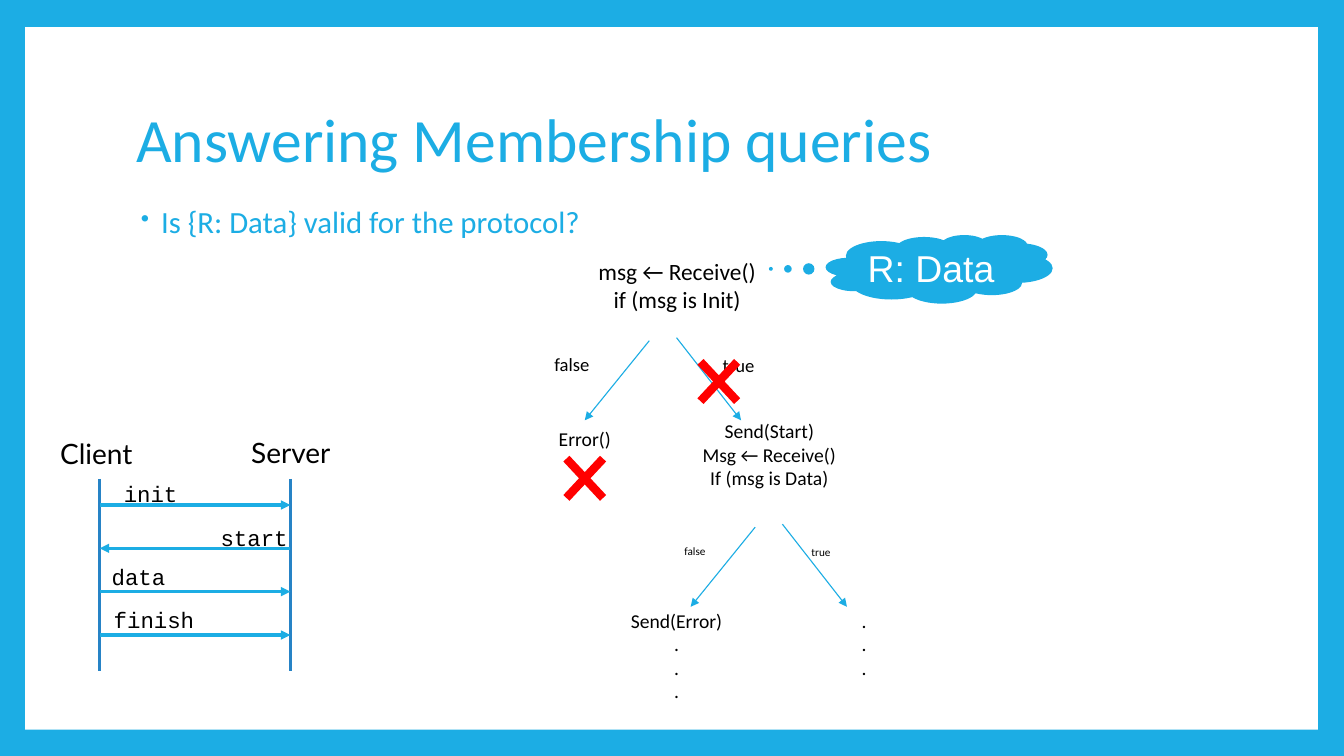
from lxml import etree
from pptx import Presentation
from pptx import util as u
from pptx.dml.color import RGBColor
from pptx.enum import shapes, text
from pptx.oxml.ns import qn

SKY = RGBColor(0x1C, 0xAD, 0xE4)
LIFELINE = RGBColor(0x26, 0x83, 0xC6)
RED = RGBColor(0xFF, 0, 0)
WHITE = RGBColor(0xFF, 0xFF, 0xFF)
BLACK = RGBColor(0, 0, 0)
LEFT, CENTER = text.PP_ALIGN.LEFT, text.PP_ALIGN.CENTER
TOP, MIDDLE = text.MSO_ANCHOR.TOP, text.MSO_ANCHOR.MIDDLE


def inches(*lengths):
    return [u.Inches(length) for length in lengths]


def format_paragraph(paragraph, size, font="Calibri", color=BLACK, align=LEFT):
    paragraph.alignment = align
    paragraph.font.size = u.Pt(size)
    paragraph.font.name = font
    paragraph.font.color.rgb = color


def add_label(slide, box, lines, size, font="Calibri", color=BLACK, align=LEFT,
              anchor=TOP, inset=None):
    """Add a text box with one paragraph per line."""
    frame = slide.shapes.add_textbox(*inches(*box)).text_frame
    frame.word_wrap = True
    frame.vertical_anchor = anchor
    if inset is not None:
        frame.margin_left = frame.margin_right = u.Inches(inset)
    frame.text = "\n".join(lines)
    for paragraph in frame.paragraphs:
        format_paragraph(paragraph, size, font, color, align)
    return frame


def add_line(slide, start, end, width, color=SKY, arrow=True):
    line = slide.shapes.add_connector(
        shapes.MSO_CONNECTOR.STRAIGHT, *inches(*start, *end))
    line.line.color.rgb = color
    line.line.width = u.Pt(width)
    if arrow:
        etree.SubElement(line.line._get_or_add_ln(), qn("a:tailEnd"), type="triangle")
    etree.SubElement(line._element.spPr, qn("a:effectLst"))


def add_filled(slide, preset, box, color, adjustments=()):
    shape = slide.shapes.add_shape(preset, *inches(*box))
    shape.shadow.inherit = False
    shape.fill.solid()
    shape.fill.fore_color.rgb = color
    shape.line.fill.background()
    for index, value in enumerate(adjustments):
        shape.adjustments[index] = value
    return shape


def add_frame(slide, box):
    """Paint the blue border around a white page."""
    slide.background.fill.solid()
    slide.background.fill.fore_color.rgb = SKY
    add_filled(slide, shapes.MSO_SHAPE.RECTANGLE, box, WHITE)


def add_heading(slide, box):
    left, top, width, height = box
    title = slide.shapes.title
    title.left, title.top, title.width, title.height = inches(*box)
    title.text_frame.text = "Answering Membership queries"
    title.text_frame.vertical_anchor = MIDDLE
    format_paragraph(title.text_frame.paragraphs[0], 44, color=SKY)
    title.text_frame.paragraphs[0].line_spacing = 0.9

    question = add_label(slide, (left, top + 1.33, width, 0.45),
                         ["Is {R: Data} valid for the protocol?"], 22, color=SKY)
    question.paragraphs[0].line_spacing = 0.9
    properties = question.paragraphs[0]._p.get_or_add_pPr()
    properties.set("marL", str(u.Inches(0.25)))
    properties.set("indent", str(u.Inches(-0.2)))
    color = etree.SubElement(properties, qn("a:buClr"))
    etree.SubElement(color, qn("a:srgbClr"), val=str(SKY))
    etree.SubElement(properties, qn("a:buSzPct"), val="80000")
    etree.SubElement(properties, qn("a:buChar"), char="•")
    # The schema wants the default run properties after the bullet.
    properties.append(properties.find(qn("a:defRPr")))


def add_branches(slide, left, top, true_at, false_at, size):
    """Add the two arrows below a condition, with their labels."""
    add_line(slide, (left + 0.91, top), (left + 1.55, top + 0.82), 0.79)
    add_line(slide, (left + 0.64, top + 0.03), (left, top + 0.82), 0.79)
    for word, (across, down) in (("true", true_at), ("false", false_at)):
        add_label(slide, (left + across, top + down, 1.56, 0.33), [word], size)


def add_query_tree(slide, box):
    left, top, width, height = box
    add_branches(slide, left + 1.36, top + 0.85, (1.27, 0.11), (-0.4, 0.1), 13.3)
    add_branches(slide, left + 2.41, top + 2.7, (1.1, 0.16), (-0.16, 0.15), 8)

    dots = ["."] * 3
    nodes = [
        (0, 0, 4.55, 16.7, ["msg ← Receive()", "if (msg is Init)"]),
        (2.05, 1.61, 2.28, 14, ["Send(Start)", "Msg ← Receive()", "If (msg is Data)"]),
        (2.99, 3.49, 2.28, 14, dots),
        (1.13, 3.49, 2.28, 14, ["Send(Error)"] + dots),
        (0.22, 1.69, 2.28, 14, ["Error()"]),
    ]
    for across, down, node_width, size, lines in nodes:
        node_box = (left + across, top + down, node_width, 0.1 + 0.235 * len(lines))
        add_label(slide, node_box, lines, size, align=CENTER)

    for across, down in ((2.34, 0.91), (1.01, 1.87)):
        add_filled(slide, shapes.MSO_SHAPE.MATH_MULTIPLY,
                   (left + across, top + down, 0.7, 0.75), RED, [0.119])


def add_thought(slide, box):
    cloud = add_filled(slide, shapes.MSO_SHAPE.CLOUD_CALLOUT, box, SKY, [-0.742, -0.004])
    frame = cloud.text_frame
    frame.margin_left = frame.margin_right = frame.margin_top = frame.margin_bottom = 0
    frame.vertical_anchor = MIDDLE
    frame.text = "R: Data"
    format_paragraph(frame.paragraphs[0], 26.7, "Arial", WHITE, CENTER)


def add_sequence_diagram(slide, box):
    left, top, width, height = box
    client, server = left + 0.52, left + 2.41
    for x in (client, server):
        add_line(slide, (x, top + 0.48), (x, top + height), 2.25, LIFELINE, arrow=False)

    # Each message: name, whether the client sends it, label offset from the client line.
    messages = [("init", True, 0.14, -0.3), ("start", False, 1.1, -0.29),
                ("data", True, 0.02, -0.33), ("finish", True, 0.04, -0.34)]
    for row, (name, from_client, across, down) in enumerate(messages):
        y = top + 0.74 + 0.43 * row
        sender, receiver = (client, server) if from_client else (server, client)
        add_line(slide, (sender, y), (receiver, y), 2.25)
        add_label(slide, (client + across, y + down, 1.07, 0.37), [name], 16, "Courier New")

    for name, x, y in (("Client", left, top + 0.01), ("Server", left + 1.93, top)):
        add_label(slide, (x, y, 0.97, 0.43), [name], 20, "Lato",
                  align=CENTER, anchor=MIDDLE, inset=0.05)


def main():
    presentation = Presentation()
    presentation.slide_width, presentation.slide_height = inches(13.33, 7.5)
    slide = presentation.slides.add_slide(presentation.slide_layouts[5])
    add_frame(slide, (0.25, 0.27, 12.82, 6.97))
    # The page is painted first, so the title has to come after it.
    slide.shapes._spTree.append(slide.shapes.title._element)
    add_heading(slide, (1.25, 0.67, 10.8, 1.48))
    add_query_tree(slide, (4.44, 2.5, 5.27, 4.53))
    add_thought(slide, (8.19, 2.33, 2.25, 0.68))
    add_sequence_diagram(slide, (0.47, 4.27, 2.9, 2.39))
    presentation.save("out.pptx")


if __name__ == "__main__":
    main()
